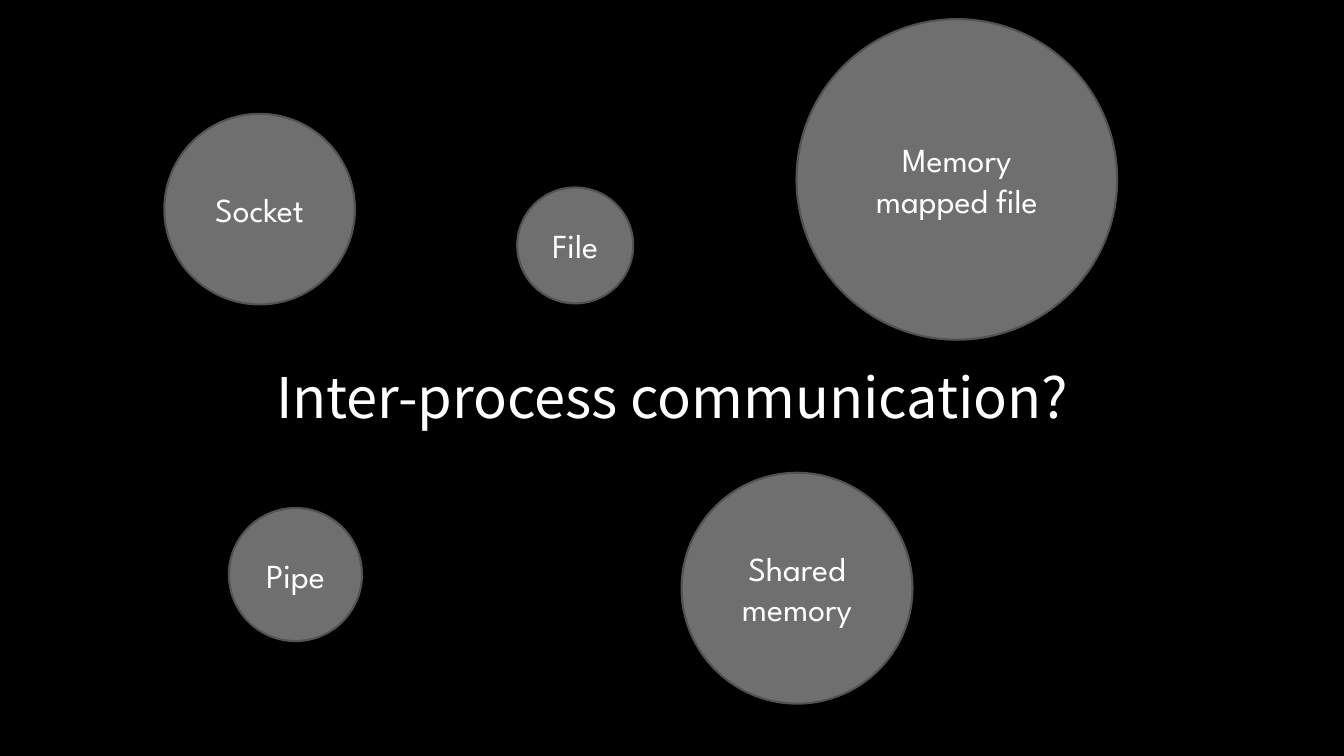
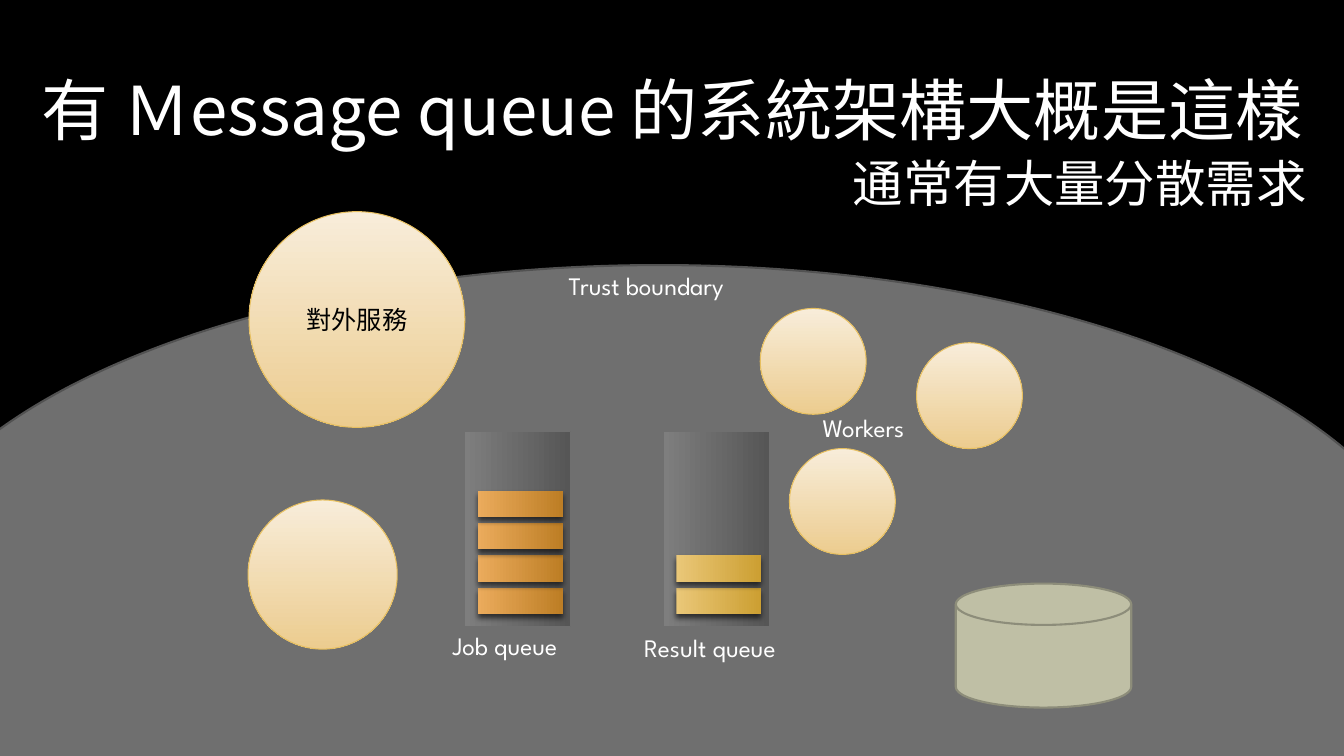
from lxml import etree
from pptx import Presentation
from pptx.dml.color import RGBColor
from pptx.enum.shapes import MSO_SHAPE
from pptx.enum.text import MSO_ANCHOR, MSO_AUTO_SIZE, PP_ALIGN
from pptx.oxml.ns import qn
from pptx.util import Inches, Pt

OVAL, RECTANGLE = MSO_SHAPE.OVAL, MSO_SHAPE.RECTANGLE
PROCESS, DISK = MSO_SHAPE.FLOWCHART_PROCESS, MSO_SHAPE.FLOWCHART_MAGNETIC_DISK
LEFT, CENTER = PP_ALIGN.LEFT, PP_ALIGN.CENTER
TOP, MIDDLE = MSO_ANCHOR.TOP, MSO_ANCHOR.MIDDLE
NO_AUTOFIT = MSO_AUTO_SIZE.NONE
TITLE_ONLY = 5
DOWNWARD, RIGHTWARD = 270, 0  # gradient angles, counter-clockwise

LATIN_FONT, CJK_FONT = "League Spartan", "Noto Sans CJK TC"

BLACK = RGBColor(0x00, 0x00, 0x00)
WHITE = RGBColor(0xFF, 0xFF, 0xFF)
GRAY = RGBColor(0x6F, 0x6F, 0x6F)
GRAY_EDGE = RGBColor(0x52, 0x52, 0x52)
SAGE = RGBColor(0xBF, 0xBF, 0xA5)
SAGE_EDGE = RGBColor(0x8D, 0x8D, 0x7A)
GOLD_EDGE = RGBColor(0xE7, 0xBF, 0x5F)
CREAM = (RGBColor(0xF8, 0xED, 0xDA), RGBColor(0xEC, 0xCC, 0x8F))
STEEL = (RGBColor(0x7E, 0x7E, 0x7E), RGBColor(0x56, 0x56, 0x56))
ORANGE = (RGBColor(0xEB, 0xAB, 0x5C), RGBColor(0xBD, 0x7E, 0x25))
YELLOW = (RGBColor(0xEA, 0xC7, 0x78), RGBColor(0xCC, 0x9F, 0x32))

# Boxes are left, top, width, height; circles are left, top, diameter.
IPC_TITLE = ("Inter-process communication?", (2.57, 3.55, 8.19, 0.77), 40)
IPC_METHODS = [
    ("File", 5.13, 1.86, 1.15),
    ("Pipe", 2.27, 5.04, 1.32),
    ("Socket", 1.63, 1.13, 1.89),
    ("Memory mapped file", 7.9, 0.19, 3.18),
    ("Shared memory", 6.76, 4.69, 2.29),
]

QUEUE_TITLE = ("有 Ｍessage queue 的系統架構大概是這樣", (0, 0.63, 13.33, 0.91), 48)
QUEUE_SUBTITLE = ("通常有大量分散需求", (8.36, 1.46, 4.75, 0.71), 36)
TRUST_ZONE = (-1.15, 2.63, 15.38, 6.86)
SERVICES = [
    ("對外服務", 2.47, 2.1, 2.14),
    ("", 2.46, 4.96, 1.48),
    ("", 9.09, 3.4, 1.05),
    ("", 7.54, 3.06, 1.05),
    ("", 7.83, 4.45, 1.05),
]
DATABASE = (9.48, 5.79, 1.74, 1.23)
QUEUES = [  # left, number of messages, message colours
    (4.61, 4, ORANGE),
    (6.58, 2, YELLOW),
]
LABELS = [
    ("Trust boundary", (5.54, 2.63, 1.99, 0.4)),
    ("Job queue", (4.39, 6.2, 1.54, 0.4)),
    ("Result queue", (6.29, 6.22, 1.79, 0.4)),
    ("Workers", (8.06, 4.04, 1.15, 0.4)),
]

QUEUE_TOP, QUEUE_WIDTH, QUEUE_HEIGHT = 4.28, 1.05, 1.94
MESSAGE_INSET, MESSAGE_WIDTH, MESSAGE_HEIGHT = 0.13, 0.84, 0.26
LOWEST_MESSAGE_TOP, MESSAGE_PITCH = 5.83, 0.32


def inches(box):
    return [Inches(length) for length in box]


def write(frame, text, size, font_name, color=WHITE, align=CENTER, anchor=MIDDLE):
    frame.word_wrap = True
    frame.auto_size = NO_AUTOFIT
    frame.vertical_anchor = anchor
    paragraph = frame.paragraphs[0]
    paragraph.alignment = align
    run = paragraph.add_run()
    run.text = text
    font = run.font
    font.size, font.name, font.color.rgb = Pt(size), font_name, color
    east_asian = etree.SubElement(run._r.get_or_add_rPr(), qn("a:ea"))
    east_asian.set("typeface", CJK_FONT)


def add_title(slide, text, box, size):
    title = slide.shapes.title
    title.left, title.top, title.width, title.height = inches(box)
    write(title.text_frame, text, size, CJK_FONT, anchor=TOP)


def add_label(slide, text, box, size=18, font_name=LATIN_FONT):
    label = slide.shapes.add_textbox(*inches(box))
    write(label.text_frame, text, size, font_name, align=LEFT, anchor=TOP)


def add_figure(slide, preset, box, fill, edge=None, edge_width=1.5, angle=DOWNWARD):
    """Add a preset shape; a pair of colours as fill makes a gradient."""
    figure = slide.shapes.add_shape(preset, *inches(box))
    figure.shadow.inherit = False
    if isinstance(fill, RGBColor):
        figure.fill.solid()
        figure.fill.fore_color.rgb = fill
    else:
        figure.fill.gradient()
        figure.fill.gradient_angle = angle
        for stop, color in zip(figure.fill.gradient_stops, fill):
            stop.color.rgb = color
    if edge is None:
        figure.line.fill.background()
    else:
        figure.line.color.rgb = edge
        figure.line.width = Pt(edge_width)
    return figure


def cast_shadow(figure):
    effects = figure._element.spPr.find(qn("a:effectLst"))
    shadow = etree.SubElement(effects, qn("a:outerShdw"), blurRad=str(Pt(4)),
                              dist=str(Pt(3)), dir="5400000", rotWithShape="0")
    color = etree.SubElement(shadow, qn("a:srgbClr"), val=str(BLACK))
    etree.SubElement(color, qn("a:alpha"), val="60000")


def add_queue(slide, left, message_count, message_colors):
    add_figure(slide, PROCESS, (left, QUEUE_TOP, QUEUE_WIDTH, QUEUE_HEIGHT),
               STEEL, GRAY, 0.75, RIGHTWARD)
    for index in range(message_count):
        top = LOWEST_MESSAGE_TOP - index * MESSAGE_PITCH
        box = (left + MESSAGE_INSET, top, MESSAGE_WIDTH, MESSAGE_HEIGHT)
        cast_shadow(add_figure(slide, RECTANGLE, box, message_colors, angle=RIGHTWARD))


def build_ipc_slide(slide):
    add_title(slide, *IPC_TITLE)
    for method, left, top, diameter in IPC_METHODS:
        circle = add_figure(slide, OVAL, (left, top, diameter, diameter), GRAY, GRAY_EDGE)
        write(circle.text_frame, method, 24, LATIN_FONT)


def build_queue_slide(slide):
    add_title(slide, *QUEUE_TITLE)
    add_figure(slide, OVAL, TRUST_ZONE, GRAY, GRAY_EDGE)
    for service, left, top, diameter in SERVICES:
        circle = add_figure(slide, OVAL, (left, top, diameter, diameter),
                            CREAM, GOLD_EDGE, 0.75)
        if service:
            write(circle.text_frame, service, 18, LATIN_FONT, BLACK)
    add_figure(slide, DISK, DATABASE, SAGE, SAGE_EDGE)
    for queue in QUEUES:
        add_queue(slide, *queue)
    for text, box in LABELS:
        add_label(slide, text, box)
    add_label(slide, *QUEUE_SUBTITLE, CJK_FONT)


def main():
    prs = Presentation()
    prs.slide_width, prs.slide_height = Inches(13.33), Inches(7.5)
    background = prs.slide_master.background.fill
    background.solid()
    background.fore_color.rgb = BLACK
    for build in (build_ipc_slide, build_queue_slide):
        build(prs.slides.add_slide(prs.slide_layouts[TITLE_ONLY]))
    prs.save("out.pptx")


if __name__ == "__main__":
    main()
